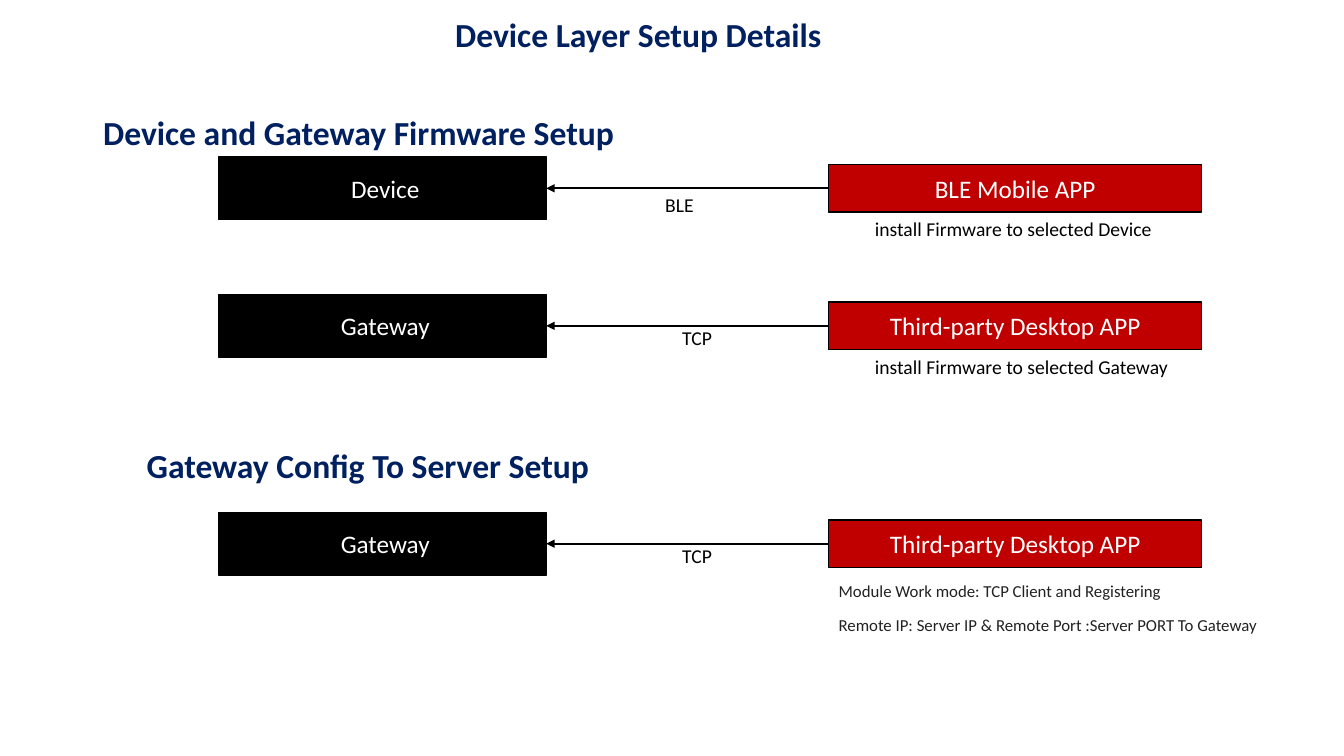
from lxml import etree
from pptx import Presentation
from pptx.dml.color import RGBColor
from pptx.enum.shapes import MSO_CONNECTOR, MSO_SHAPE
from pptx.enum.text import MSO_ANCHOR, MSO_AUTO_SIZE, PP_ALIGN
from pptx.oxml.ns import qn
from pptx.util import Pt

RECTANGLE = MSO_SHAPE.RECTANGLE
STRAIGHT = MSO_CONNECTOR.STRAIGHT
MIDDLE = MSO_ANCHOR.MIDDLE
TOP = MSO_ANCHOR.TOP
CENTER = PP_ALIGN.CENTER
LEFT = PP_ALIGN.LEFT
GROW = MSO_AUTO_SIZE.SHAPE_TO_FIT_TEXT
LEFT_SIDE, RIGHT_SIDE = 1, 3

FONT = "Calibri"
COLORS = {
    "heading": "002060",
    "target": "000000",
    "app": "C00000",
    "line": "000000",
    "label": "000000",
    "settings": "222222",
    "on_fill": "FFFFFF",
}

# Shared columns and sizes of the three rows
TARGET_LEFT, TARGET_WIDTH, TARGET_HEIGHT = 156.2, 234, 44.8
APP_LEFT, APP_WIDTH, APP_HEIGHT = 592, 266.4, 34
NOTE_LEFT, NOTE_DROP = 617.8, 17

# Heading: text, left, top, width
HEADINGS = [
    ("Device Layer Setup Details", 214.8, -5, 482.4),
    ("Device and Gateway Firmware Setup", 15, 65, 482.4),
    ("Gateway Config To Server Setup", 84.2, 303, 357.1),
]
# Row: middle, target, app, protocol, protocol left, protocol top, note
ROWS = [
    (134.5, " Device", "BLE Mobile APP", "BLE", 468, 134.5,
     "install Firmware to selected Device"),
    (232.7, " Gateway", "Third-party Desktop APP", "TCP", 480.2, 229.1,
     "install Firmware to selected Gateway"),
    (388.4, " Gateway", "Third-party Desktop APP", "TCP", 480.2, 384.9, None),
]
SETTINGS = [
    "Module Work mode: TCP Client and Registering",
    "Remote IP: Server IP & Remote Port :Server PORT To Gateway",
]


def rgb(name):
    return RGBColor.from_string(COLORS[name])


def write(shape, lines, size, color, align=LEFT, anchor=TOP, bold=False):
    frame = shape.text_frame
    frame.word_wrap = True
    frame.vertical_anchor = anchor
    frame.text = "\n".join(lines)
    for para in frame.paragraphs:
        para.alignment = align
        for span in para.runs:
            span.font.name = FONT
            span.font.size = Pt(size)
            span.font.bold = bold
            span.font.color.rgb = rgb(color)
    return frame


def add_heading(page, text, left, top, width):
    box = page.shapes.add_textbox(Pt(left), Pt(top), Pt(width), Pt(58.3))
    write(box, [text], 24, "heading", CENTER, MIDDLE, bold=True)


def add_label(page, lines, left, top, width, height, size=14, color="label"):
    box = page.shapes.add_textbox(Pt(left), Pt(top), Pt(width), Pt(height))
    frame = write(box, lines, size, color)
    frame.auto_size = GROW
    return frame


def add_block(page, text, left, middle, width, height, fill):
    block = page.shapes.add_shape(
        RECTANGLE, Pt(left), Pt(middle - height / 2), Pt(width), Pt(height))
    block.shadow.inherit = False
    block.fill.solid()
    block.fill.fore_color.rgb = rgb(fill)
    block.line.color.rgb = rgb("line")
    block.line.width = Pt(1)
    write(block, [text], 18, "on_fill", CENTER, MIDDLE)
    return block


def add_arrow(page, start, end):
    arrow = page.shapes.add_connector(STRAIGHT, 0, 0, 0, 0)
    arrow.begin_connect(start, LEFT_SIDE)
    arrow.end_connect(end, RIGHT_SIDE)
    arrow.line.color.rgb = rgb("line")
    arrow.line.width = Pt(1.5)
    outline = arrow.line._get_or_add_ln()
    etree.SubElement(outline, qn("a:tailEnd"), type="triangle")
    etree.SubElement(arrow._element.spPr, qn("a:effectLst"))


def add_row(page, middle, target, app, protocol, label_left, label_top, note):
    target_block = add_block(page, target, TARGET_LEFT, middle,
                             TARGET_WIDTH, TARGET_HEIGHT, "target")
    app_block = add_block(page, app, APP_LEFT, middle,
                          APP_WIDTH, APP_HEIGHT, "app")
    add_arrow(page, app_block, target_block)
    add_label(page, [protocol], label_left, label_top, 72.7, 24.2)
    if note:
        add_label(page, [note], NOTE_LEFT, middle + NOTE_DROP, 240, 24.2)


def main():
    deck = Presentation()
    deck.slide_width, deck.slide_height = Pt(960), Pt(540)
    page = deck.slides.add_slide(deck.slide_layouts[6])

    # Title and section headings
    for heading in HEADINGS:
        add_heading(page, *heading)

    # Each app connected to its target
    for row in ROWS:
        add_row(page, *row)

    # Gateway settings under the last app
    frame = add_label(page, SETTINGS, APP_LEFT, 411.1, 368, 71.3,
                      size=12, color="settings")
    frame.paragraphs[1].space_before = Pt(10)

    deck.save("out.pptx")


if __name__ == "__main__":
    main()
